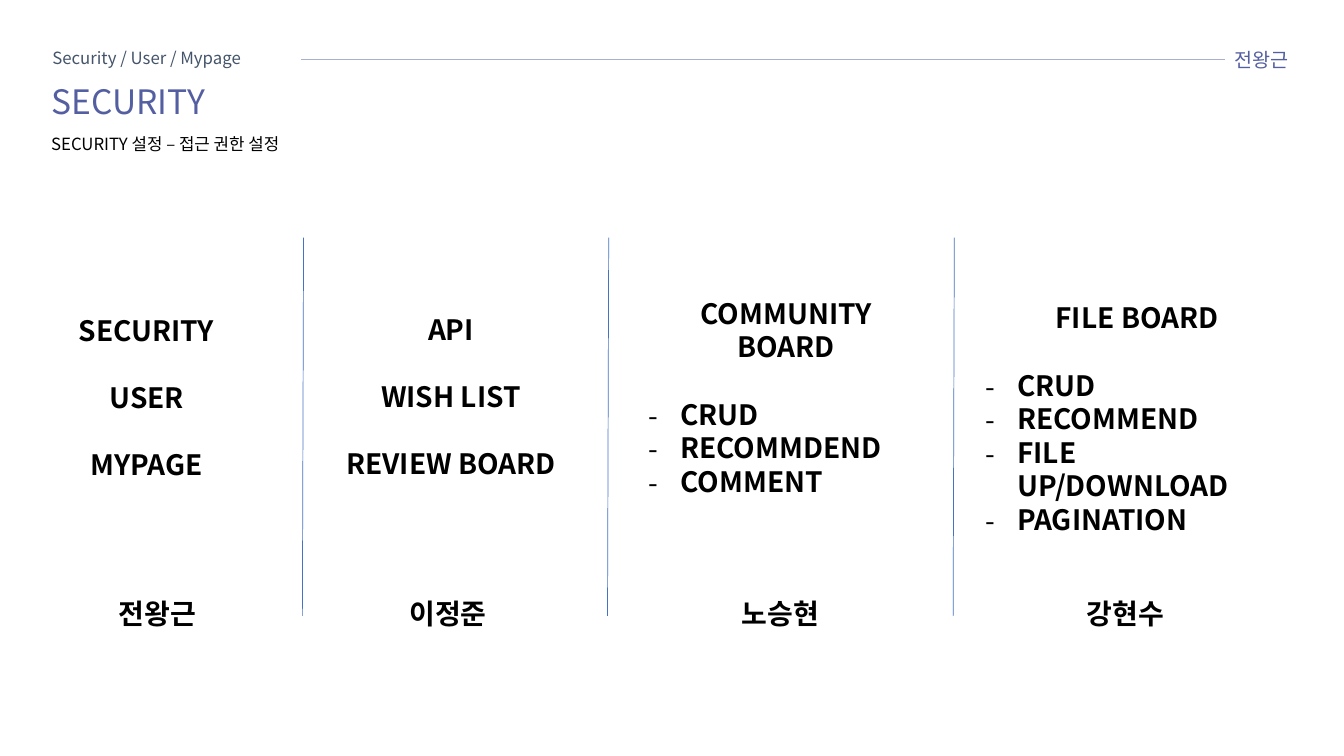
from lxml import etree
from pptx import Presentation
from pptx.dml.color import RGBColor
from pptx.enum.shapes import MSO_CONNECTOR
from pptx.enum.text import MSO_ANCHOR, MSO_AUTO_SIZE, PP_ALIGN
from pptx.oxml.ns import qn
from pptx.util import Cm, Pt

STRAIGHT = MSO_CONNECTOR.STRAIGHT
TOP, MIDDLE = MSO_ANCHOR.TOP, MSO_ANCHOR.MIDDLE
LEFT, CENTER = PP_ALIGN.LEFT, PP_ALIGN.CENTER
NO_FIT = MSO_AUTO_SIZE.NONE

FONT = "Noto Sans CJK KR"
COLORS = {
    "accent": "545FA2",
    "text": "000000",
    "slate": "44546A",
    "rule": "A9AFD1",
    "divider": "4472C4",
}
HEADER_TEXTS = [
    ("전왕근", 30.86, 1.14, 2.82, 14, "accent"),
    ("SECURITY 설정 – 접근 권한 설정", 1.04, 3.3, 7.39, 12, "text"),
    ("Security / User / Mypage", 1.07, 1.14, 6.71, 12, "slate"),
]
COLUMNS = [
    (0.71, 4.72, 5.97, ["SECURITY", "USER", "MYPAGE"], []),
    (8.38, 4.7, 5.97, ["API", "WISH LIST", "REVIEW BOARD"], []),
    (16.1, 4.72, 7.42, ["COMMUNITY BOARD"], ["CRUD", "RECOMMDEND", "COMMENT"]),
    (24.59, 5.26, 8.13, ["FILE BOARD"],
     ["CRUD", "RECOMMEND", "FILE UP/DOWNLOAD", "PAGINATION"]),
]
MEMBERS = [("전왕근", 1.47), ("이정준", 8.79), ("노승현", 17.17), ("강현수", 25.86)]
DIVIDERS = [7.65, 15.34, 24.05]
HANG = Cm(0.79)
GROUP_GAP = 24


def place(box, left, top, width, height, anchor):
    box.left, box.top = Cm(left), Cm(top)
    box.width, box.height = Cm(width), Cm(height)
    frame = box.text_frame
    frame.word_wrap = True
    frame.auto_size = NO_FIT
    frame.vertical_anchor = anchor
    return frame


def add_span(para, text, size, color, bold=False):
    span = para.add_run()
    span.text = text
    span.font.name = FONT
    span.font.size = Pt(size)
    span.font.bold = bold
    span.font.color.rgb = RGBColor.from_string(COLORS[color])
    east_asian = etree.SubElement(span.font._element, qn("a:ea"))
    east_asian.set("typeface", FONT)


def set_bullet(para, bulleted):
    props = para._p.get_or_add_pPr()
    props.set("marL", str(HANG if bulleted else 0))
    props.set("indent", str(-HANG if bulleted else 0))
    if bulleted:
        etree.SubElement(props, qn("a:buFont")).set("typeface", FONT)
        etree.SubElement(props, qn("a:buChar")).set("char", "-")
    else:
        etree.SubElement(props, qn("a:buNone"))


def format_title(title):
    para = place(title, 1.04, 2.03, 6.73, 1.17, TOP).paragraphs[0]
    para.alignment = LEFT
    para.line_spacing = 0.9
    add_span(para, "SECURITY", 24, "accent")


def add_label(page, text, left, top, width, height, size, color, member=False):
    box = page.shapes.add_textbox(0, 0, 0, 0)
    frame = place(box, left, top, width, height, MIDDLE if member else TOP)
    para = frame.paragraphs[0]
    para.alignment = CENTER if member else LEFT
    para.line_spacing = 1.0 if member else 0.9
    add_span(para, text, size, color, bold=member)


def fill_column(body, left, top, width, headings, items):
    frame = place(body, left, top, width, 10.57, MIDDLE)
    lines = [(text, False) for text in headings] + [(text, True) for text in items]
    for number, (text, bulleted) in enumerate(lines):
        para = frame.paragraphs[0] if number == 0 else frame.add_paragraph()
        set_bullet(para, bulleted)
        para.alignment = LEFT if bulleted else CENTER
        starts_group = 0 < number <= len(headings)
        para.space_before = Pt(GROUP_GAP if starts_group else 0)
        add_span(para, text, 20, "text", bold=True)


def add_line(page, x1, y1, x2, y2, color):
    line = page.shapes.add_connector(STRAIGHT, Cm(x1), Cm(y1), Cm(x2), Cm(y2))
    line.line.color.rgb = RGBColor.from_string(COLORS[color])
    line.line.width = Pt(0.5)
    etree.SubElement(line._element.spPr, qn("a:effectLst"))


def main():
    deck = Presentation()
    deck.slide_width, deck.slide_height = Cm(33.87), Cm(19.05)
    page = deck.slides.add_slide(deck.slide_layouts.get_by_name("Comparison"))
    title, *bodies = page.placeholders

    add_line(page, 7.59, 1.5, 30.86, 1.5, "rule")
    format_title(title)
    for text, left, top, width, size, color in HEADER_TEXTS:
        add_label(page, text, left, top, width, 0.76, size, color)
    for body, column in zip(bodies, COLUMNS):
        fill_column(body, *column)
    for name, left in MEMBERS:
        add_label(page, name, left, 14.94, 5, 1.02, 20, "text", member=True)
    for x in DIVIDERS:
        add_line(page, x, 5.99, x - 0.03, 15.52, "divider")

    deck.save("out.pptx")


if __name__ == "__main__":
    main()
